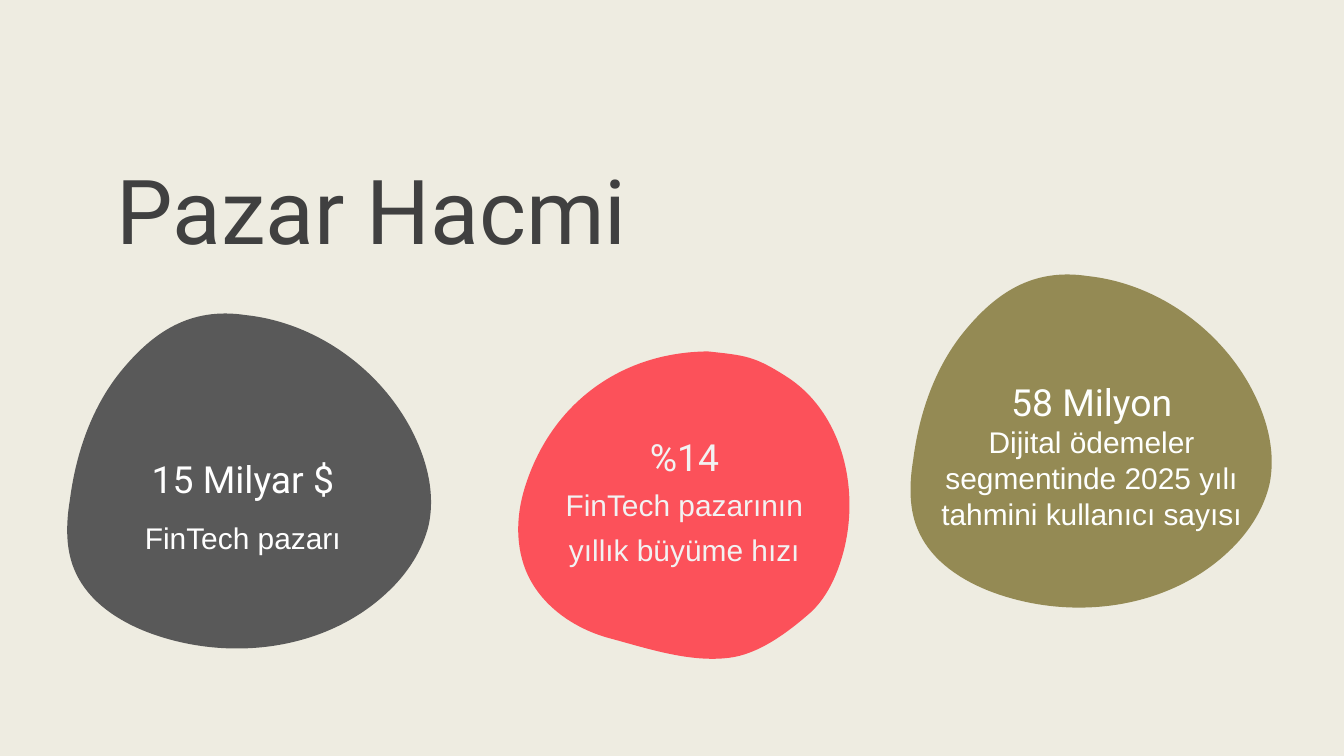
from dataclasses import dataclass

from lxml.etree import SubElement
from pptx import Presentation
from pptx.dml.color import RGBColor
from pptx.enum.text import MSO_ANCHOR, MSO_AUTO_SIZE, PP_ALIGN
from pptx.oxml.ns import qn
from pptx.util import Inches, Pt

COLS, ROWS = 20, 11.25
TITLE_ONLY = 5

Outline = list[tuple[int, int]]

# Start point, then three points for each curve
ROUND: Outline = [
    (516, 185),
    (468, 92), (372, 24), (269, 13),
    (185, 0), (130, 40), (85, 94),
    (40, 148), (16, 218), (7, 288),
    (1, 324), (0, 364), (16, 397),
    (36, 440), (79, 468), (123, 485),
    (242, 530), (387, 513), (480, 425),
    (509, 398), (532, 363), (541, 325),
    (551, 277), (538, 228), (516, 185),
]
POINTED: Outline = [
    (403, 37),
    (356, 7), (343, 6), (287, 0),
    (160, 1), (57, 75), (17, 196),
    (3, 237), (0, 283), (16, 324),
    (37, 377), (89, 413), (145, 427),
    (200, 442), (261, 462), (318, 455),
    (362, 450), (406, 417), (439, 388),
    (461, 368), (475, 340), (484, 312),
    (516, 214), (490, 92), (403, 37),
]


@dataclass(frozen=True)
class Theme:
    background: str = "EEECE1"
    title: str = "404040"
    grey: str = "595959"
    red: str = "FC515A"
    olive: str = "948A54"
    heading_font: str = "Roboto"
    body_font: str = "Arial"
    title_size: int = 96
    figure_size: int = 40
    body_size: int = 32


@dataclass(frozen=True)
class Box:
    """Place and size in columns and rows of the slide grid."""
    col: float
    row: float
    cols: float
    rows: float


@dataclass(frozen=True)
class Fact:
    outline: Outline
    pebble: Box
    fill: str
    caption: Box
    color: str
    figure: str
    lines: tuple[str, ...]
    figure_spacing: float | Pt
    line_spacing: float | Pt


T = Theme()
FACTS = [
    Fact(POINTED, Box(7.66, 5.23, 5.17, 4.63), T.red, Box(7.43, 6.46, 5.51, 1.97), "F2F2F2",
         "%14", ("FinTech pazarının", "yıllık büyüme hızı"), Pt(47.6), Pt(47.6)),
    Fact(ROUND, Box(0.97, 4.56, 5.51, 5.3), T.grey, Box(0.86, 6.46, 5.51, 1.72), "FFFFFF",
         "15 Milyar $", ("FinTech pazarı",), 1.5, 1.5),
    Fact(ROUND, Box(13.52, 3.98, 5.47, 5.27), T.olive, Box(13.49, 5.31, 5.51, 2.63), "FEFFFD",
         "58 Milyon", ("Dijital ödemeler segmentinde 2025 yılı", "tahmini kullanıcı sayısı"),
         1.5, 1.0),
]


def place(box: Box, prs) -> tuple[int, int, int, int]:
    cell_w, cell_h = prs.slide_width / COLS, prs.slide_height / ROWS
    return (round(box.col * cell_w), round(box.row * cell_h),
            round(box.cols * cell_w), round(box.rows * cell_h))


def set_frame(tf) -> None:
    tf.word_wrap = True
    tf.auto_size = MSO_AUTO_SIZE.NONE
    tf.vertical_anchor = MSO_ANCHOR.TOP
    tf.margin_left = tf.margin_right = tf.margin_top = tf.margin_bottom = 0


def write(p, text: str, font: str, size: int, color: str, spacing: float | Pt) -> None:
    p.alignment = PP_ALIGN.CENTER
    p.line_spacing = spacing
    r = p.add_run()
    r.text = text
    r.font.name = font
    r.font.size = Pt(size)
    r.font.color.rgb = RGBColor.from_string(color)


def curve(sp) -> None:
    """Turn every three straight segments into one cubic curve."""
    segments = list(sp._element.iter(qn("a:lnTo")))
    for i in range(0, len(segments), 3):
        parent = segments[i].getparent()
        bezier = SubElement(parent, qn("a:cubicBezTo"))
        segments[i].addprevious(bezier)
        for segment in segments[i:i + 3]:
            bezier.append(segment[0])
            parent.remove(segment)


def add_pebble(slide, fact: Fact, prs) -> None:
    left, top, width, height = place(fact.pebble, prs)
    xs, ys = zip(*fact.outline)
    builder = slide.shapes.build_freeform(
        *fact.outline[0], scale=(width / max(xs), height / max(ys)))
    builder.add_line_segments(fact.outline[1:], close=True)
    sp = builder.convert_to_shape(left, top)
    curve(sp)
    sp.shadow.inherit = False
    sp.fill.solid()
    sp.fill.fore_color.rgb = RGBColor.from_string(fact.fill)
    sp.line.fill.background()


def add_caption(slide, fact: Fact, prs) -> None:
    tf = slide.shapes.add_textbox(*place(fact.caption, prs)).text_frame
    set_frame(tf)
    write(tf.paragraphs[0], fact.figure, T.heading_font, T.figure_size,
          fact.color, fact.figure_spacing)
    for line in fact.lines:
        write(tf.add_paragraph(), line, T.body_font, T.body_size, fact.color, fact.line_spacing)


def add_title(slide, text: str, box: Box, prs) -> None:
    sp = slide.shapes.title
    sp.left, sp.top, sp.width, sp.height = place(box, prs)
    set_frame(sp.text_frame)
    write(sp.text_frame.paragraphs[0], text, T.heading_font, T.title_size, T.title, Pt(72.8))


def main() -> None:
    prs = Presentation()
    prs.slide_width, prs.slide_height = Inches(COLS), Inches(ROWS)
    slide = prs.slides.add_slide(prs.slide_layouts[TITLE_ONLY])
    slide.background.fill.solid()
    slide.background.fill.fore_color.rgb = RGBColor.from_string(T.background)
    add_title(slide, "Pazar Hacmi", Box(1.54, 2.9, 7.98, 1.1), prs)
    for fact in FACTS:
        add_pebble(slide, fact, prs)
    for fact in FACTS:
        add_caption(slide, fact, prs)
    prs.save("out.pptx")


if __name__ == "__main__":
    main()
